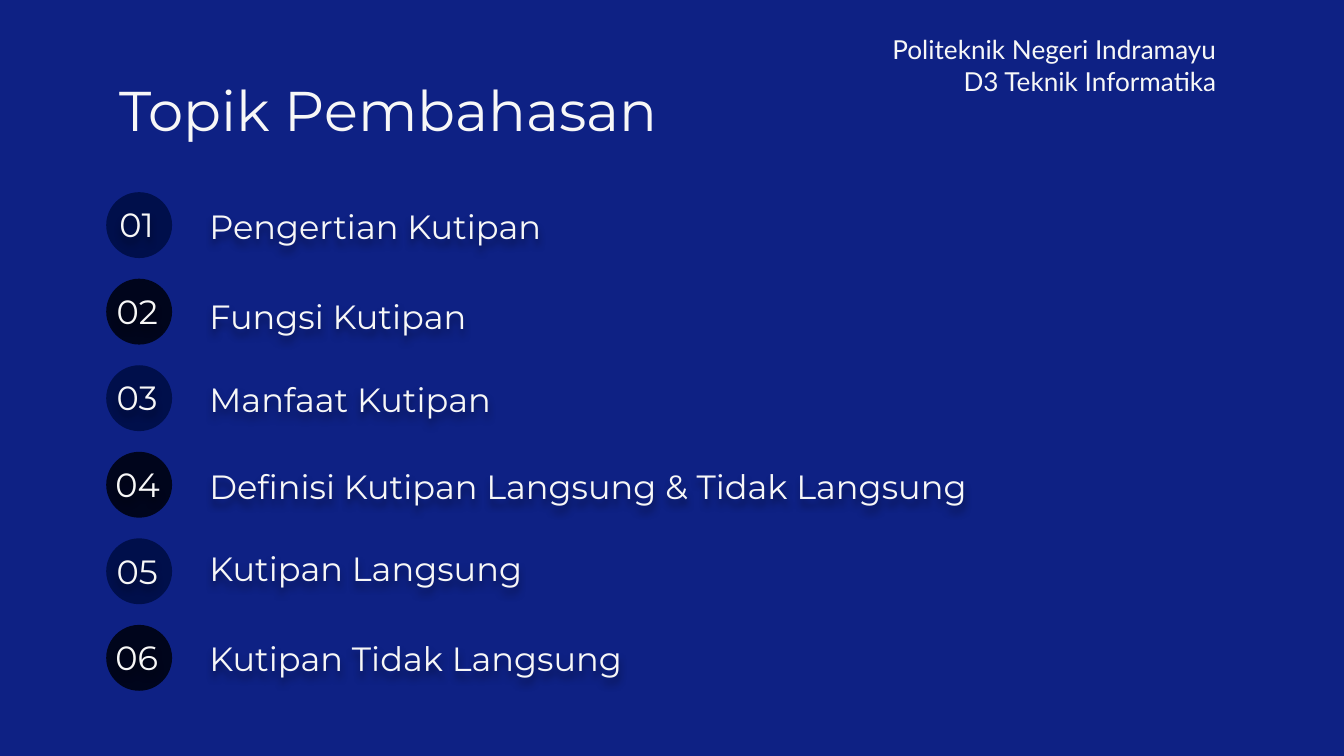
from lxml import etree
from pptx import Presentation
from pptx.dml.color import RGBColor
from pptx.enum.shapes import MSO_SHAPE
from pptx.enum.text import MSO_ANCHOR, PP_ALIGN
from pptx.oxml.ns import qn
from pptx.util import Inches, Pt

BACKGROUND = RGBColor(0x0E, 0x21, 0x84)
NAVY = RGBColor(0x00, 0x0F, 0x4B)
BLACK = RGBColor(0x00, 0x05, 0x1C)
WHITE = RGBColor(0xF7, 0xF7, 0xF7)

FIRST_TOP, LAST_TOP, DIAMETER = 1.43, 4.65, 0.49

# Topic, label top, label width, number left, number width
TOPICS = [
    ("Pengertian Kutipan", 1.43, 4.27, 0.79, 0.51),
    ("Fungsi Kutipan", 2.1, 4.8, 0.77, 0.6),
    ("Manfaat Kutipan", 2.72, 6.43, 0.77, 0.59),
    ("Definisi Kutipan Langsung & Tidak Langsung", 3.37, 7.26, 0.76, 0.57),
    ("Kutipan Langsung", 3.98, 8.19, 0.77, 0.53),
    ("Kutipan Tidak Langsung", 4.65, 7.78, 0.76, 0.54),
]
PITCH = (LAST_TOP - FIRST_TOP) / (len(TOPICS) - 1)


def add_text(s, lines, left, top, width, height, size=18, font="Montserrat",
             align=PP_ALIGN.LEFT, anchor=MSO_ANCHOR.TOP):
    sp = s.shapes.add_textbox(Inches(left), Inches(top), Inches(width), Inches(height))
    tf = sp.text_frame
    tf.word_wrap = True
    tf.vertical_anchor = anchor
    tf.margin_left = tf.margin_right = tf.margin_top = tf.margin_bottom = Inches(0.1)
    tf.text = "\n".join(lines)
    for p in tf.paragraphs:
        p.alignment = align
        p.font.size = Pt(size)
        p.font.name = font
        p.font.color.rgb = WHITE
    return sp


def turn_off_kerning(sp):
    for properties in sp.element.iter(qn("a:defRPr")):
        properties.set("kern", "0")


def add_soft_shadow(sp):
    effects = etree.SubElement(sp.element.spPr, qn("a:effectLst"))
    shadow = etree.SubElement(effects, qn("a:outerShdw"), blurRad="50800",
                              dist="38100", dir="5400000", algn="t", rotWithShape="0")
    color = etree.SubElement(shadow, qn("a:srgbClr"), val="000000")
    etree.SubElement(color, qn("a:alpha"), val="40000")


def add_circle(s, top, color):
    sp = s.shapes.add_shape(MSO_SHAPE.OVAL, Inches(0.79), Inches(top),
                            Inches(DIAMETER), Inches(DIAMETER))
    sp.shadow.inherit = False
    sp.fill.solid()
    sp.fill.fore_color.rgb = color
    sp.line.fill.background()


def add_topic(s, index, topic, label_top, label_width, number_left, number_width):
    top = FIRST_TOP + index * PITCH
    add_circle(s, top, BLACK if index % 2 else NAVY)
    number = add_text(s, [f"{index + 1:02d}"], number_left, top - 0.01, number_width, 0.43)
    label = add_text(s, [topic], 1.46, label_top, label_width, 0.49)
    for sp in (number, label):
        add_soft_shadow(sp)


def main():
    prs = Presentation()
    prs.slide_width = Inches(10)
    prs.slide_height = prs.slide_width * 9 // 16
    s = prs.slides.add_slide(prs.slide_layouts[6])
    s.background.fill.solid()
    s.background.fill.fore_color.rgb = BACKGROUND

    # Heading and institution
    heading = add_text(s, ["Topik Pembahasan"], 0.79, 0.46, 4.64, 0.63, size=30)
    turn_off_kerning(heading)
    add_text(s, ["Politeknik Negeri Indramayu", "D3 Teknik Informatika"],
             5.85, 0.16, 3.3, 0.65, size=14, font="Lato",
             align=PP_ALIGN.RIGHT, anchor=MSO_ANCHOR.MIDDLE)

    # Numbered topics
    for index, topic in enumerate(TOPICS):
        add_topic(s, index, *topic)

    prs.save("out.pptx")


if __name__ == "__main__":
    main()
